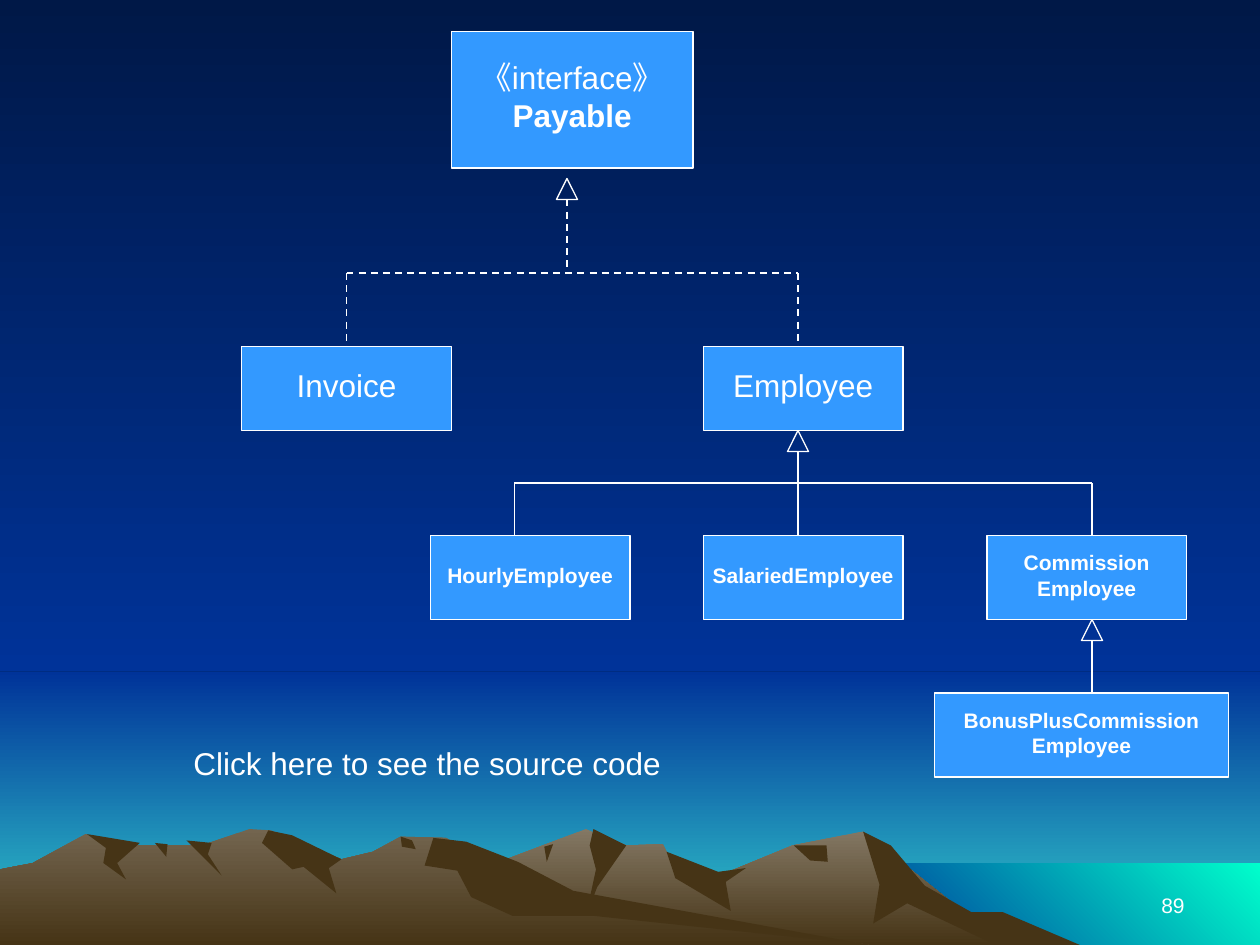
from dataclasses import dataclass

from lxml import etree
from pptx import Presentation
from pptx import util as u
from pptx.dml.color import RGBColor
from pptx.enum import dml, shapes, text
from pptx.oxml.ns import qn

COLS, ROWS = 120, 90
CELL = u.Inches(10) // COLS


@dataclass(frozen=True)
class Theme:
    font: str = "Arial"
    ink: str = "FFFFFF"
    box: str = "3399FF"
    night: str = "001847"
    dusk: str = "003399"
    horizon: str = "33CCCC"
    surf: str = "00FFCC"
    peak: str = "847864"
    slope: str = "73654F"
    earth: str = "463416"
    large: int = 18
    small: int = 12
    thin: float = 0.75
    thick: float = 1
    leading: float = 0.8


T = Theme()
DOWN, UP_RIGHT = 270, 45

# Ridges and shadows in inches, from back to front.
FAR_RIDGE = [(2.58, 7.5), (3.94, 6.85), (4.65, 6.58), (4.97, 6.71), (5.26, 6.7), (5.36, 6.9),
             (5.66, 6.97), (6.29, 6.71), (6.85, 6.6), (7.64, 7.23), (8.2, 7.5)]
FAR_SHADOWS = [
    [(6.85, 6.6), (7.07, 6.71), (7.34, 7.03), (7.71, 7.24), (7.96, 7.24), (8.57, 7.5),
     (7.9, 7.5), (7.2, 7.17), (6.93, 7.33), (6.98, 7.02)],
    [(4.71, 6.58), (4.97, 6.71), (4.74, 7.04), (4.65, 7.27), (4.73, 6.9), (4.68, 6.71)],
    [(5.29, 6.76), (5.7, 6.92), (5.92, 6.89), (5.76, 7), (5.8, 7.23), (5.36, 6.97)],
    [(6.3, 6.71), (6.56, 6.71), (6.57, 6.84), (6.43, 6.83)],
    [(4.32, 6.72), (4.39, 6.7), (4.34, 6.84)],
]
NEAR_RIDGE = [(0, 7.5), (0, 6.9), (0.26, 6.85), (0.68, 6.62), (0.94, 6.71), (1.6, 6.71),
              (1.98, 6.58), (2.15, 6.59), (2.71, 6.82), (2.96, 6.76), (3.18, 6.64),
              (3.54, 6.65), (4.32, 7.12), (6.9, 7.5)]
NEAR_SHADOWS = [
    [(2.13, 6.59), (2.32, 6.63), (2.71, 6.82), (2.61, 6.89), (2.67, 7.09), (2.41, 6.88),
     (2.32, 6.9), (2.08, 6.69)],
    [(3.44, 6.65), (3.7, 6.68), (4.11, 6.84), (4.55, 7.07), (6.9, 7.5), (4.72, 7.27),
     (4.07, 7.27), (3.74, 7.12), (3.63, 6.91), (3.37, 6.87)],
    [(3.18, 6.64), (3.27, 6.67), (3.3, 6.74), (3.19, 6.72)],
    [(1.48, 6.67), (1.68, 6.69), (1.65, 6.78), (1.76, 6.95)],
    [(1.23, 6.69), (1.33, 6.7), (1.32, 6.8)],
    [(0.69, 6.62), (1.11, 6.69), (0.93, 6.85), (1, 6.98), (0.82, 6.85), (0.84, 6.73)],
]


def rgb(color):
    return RGBColor.from_string(color)


def shade(fill, colors, angle=DOWN):
    """Fill with one colour, or with a gradient when a pair is given."""
    if isinstance(colors, str):
        fill.solid()
        fill.fore_color.rgb = rgb(colors)
        return
    fill.gradient()
    fill.gradient_angle = angle
    for stop, color in zip(fill.gradient_stops, colors):
        stop.color.rgb = rgb(color)


def add_panel(s, area, colors, angle=DOWN):
    sp = s.shapes.add_shape(shapes.MSO_SHAPE.RECTANGLE, *map(u.Inches, area))
    sp.shadow.inherit = False
    sp.line.fill.background()
    shade(sp.fill, colors, angle)


def add_outline(s, points, colors):
    start, *rest = [(u.Inches(x), u.Inches(y)) for x, y in points]
    builder = s.shapes.build_freeform(*start)
    builder.add_line_segments(rest, close=True)
    sp = builder.convert_to_shape()
    sp.shadow.inherit = False
    sp.line.fill.background()
    shade(sp.fill, colors)


def add_mountains(s, ridge, top_color, shadows):
    add_outline(s, ridge, (top_color, T.earth))
    for points in shadows:
        add_outline(s, points, T.earth)


def cells(*lengths):
    return [round(n * CELL) for n in lengths]


def write(tf, words, size, bold=(), align=text.PP_ALIGN.CENTER, leading=T.leading):
    """Set the text; bold holds the indexes of the bold paragraphs."""
    tf.text = words
    for i, p in enumerate(tf.paragraphs):
        p.alignment = align
        p.line_spacing = leading
        if i:
            p.space_before = u.Pt(size / 4)
        for r in p.runs:
            r.font.name = T.font
            r.font.size = u.Pt(size)
            r.font.bold = i in bold
            r.font.color.rgb = rgb(T.ink)


def add_ruled(s, kind, area):
    sp = s.shapes.add_shape(kind, *cells(*area))
    sp.shadow.inherit = False
    sp.line.color.rgb = rgb(T.ink)
    sp.line.width = u.Pt(T.thin)
    return sp


def add_class(s, words, area, size=T.large, bold=()):
    sp = add_ruled(s, shapes.MSO_SHAPE.RECTANGLE, area)
    shade(sp.fill, T.box)
    sp.text_frame.word_wrap = False
    sp.text_frame.vertical_anchor = text.MSO_ANCHOR.MIDDLE
    write(sp.text_frame, words, size, bold)


def add_line(s, ends, width=T.thin, dashed=False):
    line = s.shapes.add_connector(shapes.MSO_CONNECTOR.STRAIGHT, *cells(*ends))
    line.line.color.rgb = rgb(T.ink)
    line.line.width = u.Pt(width)
    if dashed:
        line.line.dash_style = dml.MSO_LINE.DASH
    etree.SubElement(line._element.spPr, qn("a:effectLst"))


def add_arrow(s, x, top, bottom, dashed=False):
    """Draw a stem with a hollow triangle whose tip is at top."""
    add_line(s, (x, top + 2, x, bottom), T.thick, dashed)
    add_ruled(s, shapes.MSO_SHAPE.ISOSCELES_TRIANGLE, (x - 1, top, 2, 2)).fill.background()


def add_branches(s, columns, top, bottom, width=T.thin, dashed=False):
    add_line(s, (columns[0], top, columns[-1], top), width, dashed)
    for x in columns:
        add_line(s, (x, top, x, bottom), width, dashed)


def add_label(s, words, area, size, **style):
    tf = s.shapes.add_textbox(*cells(*area)).text_frame
    write(tf, words, size, **style)
    return tf


def add_landscape(s):
    shade(s.background.fill, (T.night, T.dusk))
    add_panel(s, (0, 5.33, 10, 2.17), (T.dusk, T.horizon))
    add_panel(s, (0, 0, 10, 5.33), (T.night, T.dusk))
    add_panel(s, (6.83, 6.85, 3.17, 0.65), (T.dusk, T.surf), UP_RIGHT)
    add_mountains(s, FAR_RIDGE, T.peak, FAR_SHADOWS)
    add_mountains(s, NEAR_RIDGE, T.slope, NEAR_SHADOWS)


def main():
    prs = Presentation()
    prs.slide_width, prs.slide_height = cells(COLS, ROWS)
    s = prs.slides.add_slide(prs.slide_layouts[6])
    add_landscape(s)

    add_branches(s, (33, 76), 26, 33, T.thick, dashed=True)
    add_arrow(s, 54, 17, 26, dashed=True)
    add_branches(s, (49, 104), 46, 51)
    add_arrow(s, 76, 41, 51)
    add_arrow(s, 104, 59, 66)

    add_class(s, "《interface》\nPayable", (43, 3, 23, 13), bold=(1,))
    add_class(s, "Invoice", (23, 33, 20, 8))
    add_class(s, "Employee", (67, 33, 19, 8))
    for words, left, top, width in (
            ("HourlyEmployee", 41, 51, 19), ("SalariedEmployee", 67, 51, 19),
            ("Commission\nEmployee", 94, 51, 19), ("BonusPlusCommission\nEmployee", 89, 66, 28)):
        add_class(s, words, (left, top, width, 8), T.small, bold=(0, 1))

    tf = add_label(s, "89", (86, 82, 28, 6), T.small, align=text.PP_ALIGN.RIGHT, leading=1.0)
    tf.word_wrap = True
    tf.vertical_anchor = text.MSO_ANCHOR.BOTTOM
    tf = add_label(s, "Click here to see the source code", (17.25, 71, 47, 4), T.large,
                   align=text.PP_ALIGN.LEFT)
    tf.word_wrap = False
    tf.auto_size = text.MSO_AUTO_SIZE.SHAPE_TO_FIT_TEXT
    prs.save("out.pptx")


if __name__ == "__main__":
    main()
